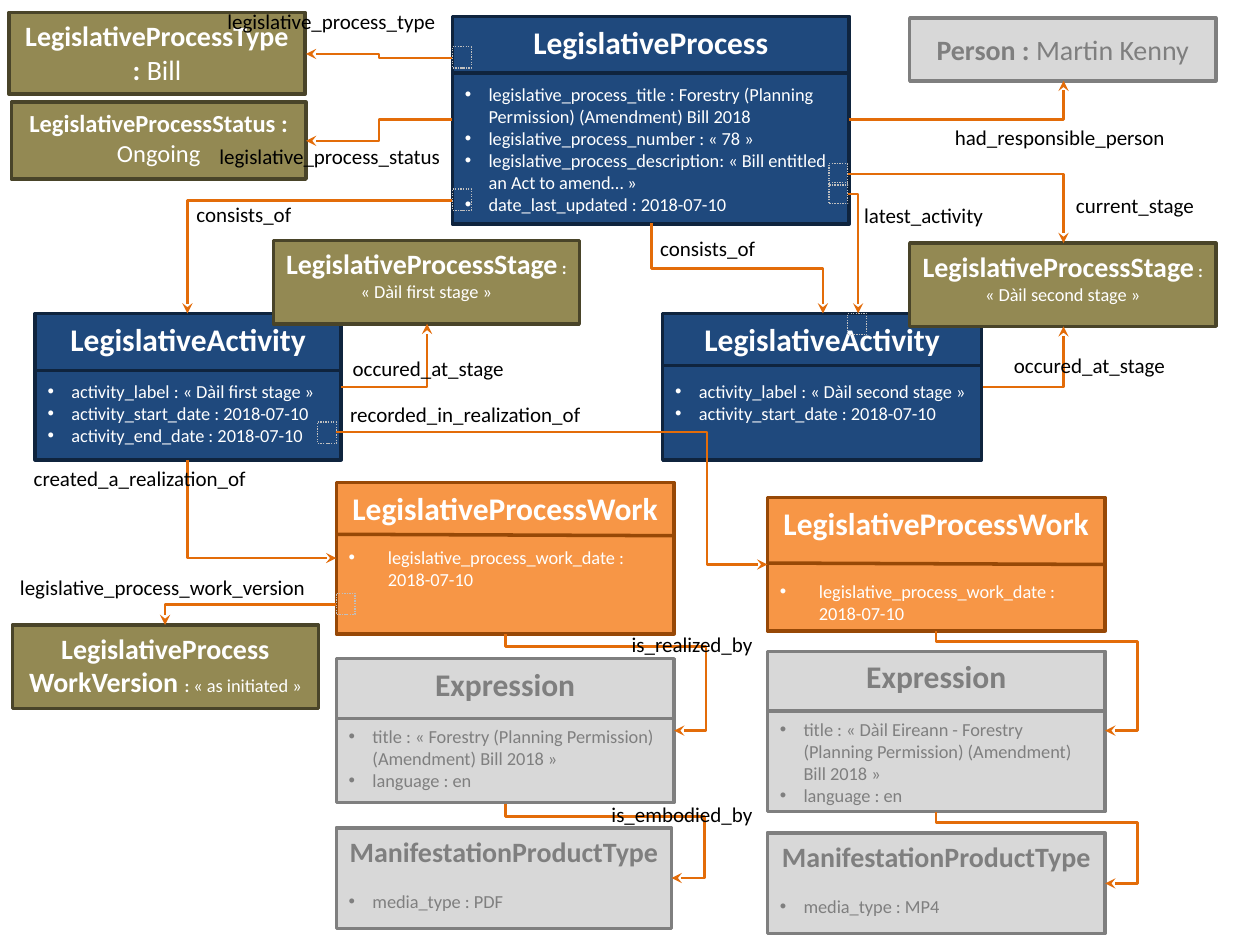
from dataclasses import dataclass

import pptx
import pptx.dml.color
import pptx.enum.dml
import pptx.enum.shapes
import pptx.enum.text
import pptx.oxml
import pptx.oxml.ns
import pptx.util
from lxml import etree

Cm = pptx.util.Cm
Pt = pptx.util.Pt
Align = pptx.enum.text.PP_ALIGN
Connector = pptx.enum.shapes.MSO_CONNECTOR
qn = pptx.oxml.ns.qn


@dataclass(frozen=True)
class Style:
    fill: str
    line: str
    text: str = "FFFFFF"


@dataclass(frozen=True)
class Theme:
    font: str = "Calibri"
    label: str = "000000"
    link: str = "E36C09"
    marker: str = "BFBFBF"
    title_size: float = 18
    note_size: float = 16
    status_size: float = 14
    label_size: float = 12
    body_size: float = 10.5
    colon_size: float = 10
    box_line: float = 2
    link_line: float = 1.5
    marker_line: float = 0.75
    process: Style = Style("1F497D", "0F243E")
    work: Style = Style("F79646", "974806")
    category: Style = Style("938953", "494429")
    neutral: Style = Style("D8D8D8", "7F7F7F", "7F7F7F")


THEME = Theme()


@dataclass(frozen=True)
class Run:
    text: str
    size: float = THEME.title_size
    bold: bool = True
    new_line: bool = False


@dataclass(frozen=True)
class Box:
    style: Style
    place: tuple  # left, top, width, height in cm
    heading: tuple
    items: tuple = ()
    gap: float = 12.8  # points between heading and items
    indent: float = 0.48
    divider: float | None = None
    tilt: float = 0
    middle: bool = False


@dataclass(frozen=True)
class Link:
    start: tuple
    end: tuple
    bends: tuple = ()  # positions of the inner segments, as shares of the span
    downward: bool = False  # leaves the start vertically


@dataclass(frozen=True)
class Label:
    text: str
    left: float
    top: float
    width: float
    align: Align = Align.LEFT


def rgb(value: str):
    return pptx.dml.color.RGBColor.from_string(value)


def write_text(frame, text: str, *, size: float, color: str, bold=False, align=Align.LEFT,
               new_line=True, bullet_indent=0.0, space_before=0.0) -> None:
    paragraph = frame.paragraphs[-1]
    if new_line and paragraph.runs:
        paragraph = frame.add_paragraph()
    paragraph.alignment = align
    if space_before:
        paragraph.space_before = Pt(space_before)
    if bullet_indent:
        properties = paragraph._p.get_or_add_pPr()
        properties.set("marL", str(Cm(bullet_indent)))
        properties.set("indent", str(-Cm(bullet_indent)))
        bullet_color = etree.SubElement(properties, qn("a:buClr"))
        etree.SubElement(bullet_color, qn("a:srgbClr"), val=color)
        etree.SubElement(properties, qn("a:buFont"), typeface="Arial")
        etree.SubElement(properties, qn("a:buChar"), char="•")
    run = paragraph.add_run()
    run.text = text
    run.font.name, run.font.size, run.font.bold = THEME.font, Pt(size), bold
    run.font.color.rgb = rgb(color)


def add_line(slide, kind: Connector, start: tuple, end: tuple, color: str, width: float):
    connector = slide.shapes.add_connector(kind, *(Cm(value) for value in (*start, *end)))
    connector.line.color.rgb = rgb(color)
    connector.line.width = Pt(width)
    etree.SubElement(connector._element.spPr, qn("a:effectLst"))
    return connector


def add_rectangle(slide, place: tuple, color: str, width: float):
    shape = slide.shapes.add_shape(pptx.enum.shapes.MSO_SHAPE.RECTANGLE, *map(Cm, place))
    shape.shadow.inherit = False
    shape.fill.background()
    shape.line.color.rgb = rgb(color)
    shape.line.width = Pt(width)
    return shape


def draw_box(slide, box: Box) -> None:
    shape = add_rectangle(slide, box.place, box.style.line, THEME.box_line)
    shape.fill.solid()
    shape.fill.fore_color.rgb = rgb(box.style.fill)
    frame = shape.text_frame
    frame.word_wrap = True
    anchors = pptx.enum.text.MSO_ANCHOR
    frame.vertical_anchor = anchors.MIDDLE if box.middle else anchors.TOP
    for run in box.heading:
        write_text(frame, run.text, size=run.size, bold=run.bold, color=box.style.text,
                   align=Align.CENTER, new_line=run.new_line)
    for index, item in enumerate(box.items):
        write_text(frame, item, size=THEME.body_size, color=box.style.text,
                   bullet_indent=box.indent, space_before=0 if index else box.gap)
    if box.divider:
        left, _, width, _ = box.place
        add_line(slide, Connector.STRAIGHT, (left, box.divider),
                 (left + width, box.divider + box.tilt), box.style.line, THEME.box_line)


def draw_marker(slide, left: float, top: float) -> None:
    shape = add_rectangle(slide, (left, top, 0.38, 0.43), THEME.marker, THEME.marker_line)
    shape.line.dash_style = pptx.enum.dml.MSO_LINE.ROUND_DOT


def draw_link(slide, link: Link) -> None:
    (x1, y1), (x2, y2) = link.start, link.end
    if link.downward:  # the frame before a quarter turn has its sides swapped
        x, y, half_width, half_height = (x1 + x2) / 2, (y1 + y2) / 2, (y2 - y1) / 2, (x2 - x1) / 2
        x1, y1, x2, y2 = x + half_width, y - half_height, x - half_width, y + half_height
    connector = add_line(slide, Connector.ELBOW, (x1, y1), (x2, y2), THEME.link, THEME.link_line)
    properties = connector._element.spPr
    if link.downward:
        properties.find(qn("a:xfrm")).set("rot", str(270 * 60000))
    geometry = properties.find(qn("a:prstGeom"))
    geometry.set("prst", f"bentConnector{len(link.bends) + 2}")
    for index, share in enumerate(link.bends, 1):
        etree.SubElement(geometry.find(qn("a:avLst")), qn("a:gd"), name=f"adj{index}",
                         fmla=f"val {round(share * 100000)}")
    etree.SubElement(properties.find(qn("a:ln")), qn("a:tailEnd"), type="stealth")


def draw_label(slide, label: Label) -> None:
    text_box = slide.shapes.add_textbox(Cm(label.left), Cm(label.top), Cm(label.width), Cm(0.77))
    text_box.text_frame.word_wrap = True
    write_text(text_box.text_frame, label.text, size=THEME.label_size, color=THEME.label,
               align=label.align)


def stage(place: tuple, name: str) -> Box:
    return Box(THEME.category, place, (
        Run("LegislativeProcessStage", THEME.note_size), Run(" : ", THEME.colon_size),
        Run(f"« {name} »", THEME.body_size, False)))


ACTIVITY = (Run("LegislativeActivity"),)
WORK = (Run("LegislativeProcessWork"),)
EXPRESSION = (Run("Expression"),)
MANIFESTATION = (Run("ManifestationProductType", THEME.note_size),)
WORK_DATE = ("legislative_process_work_date : 2018-07-10",)
START_DATE = "activity_start_date : 2018-07-10"

BOXES = (
    Box(THEME.process, (9.12, 0.33, 8, 4.19), (Run("LegislativeProcess"),), (
        "legislative_process_title : Forestry (Planning Permission) (Amendment) Bill 2018",
        "legislative_process_number : « 78 »",
        "legislative_process_description: « Bill entitled an Act to amend… »",
        "date_last_updated : 2018-07-10"), divider=1.47),
    Box(THEME.process, (0.71, 6.32, 6.17, 2.95), ACTIVITY, (
        "activity_label : « Dàil first stage »", START_DATE,
        "activity_end_date : 2018-07-10"), divider=7.47),
    Box(THEME.process, (13.36, 6.32, 6.43, 2.95), ACTIVITY, (
        "activity_label : « Dàil second stage »", START_DATE), divider=7.37),
    stage((5.51, 4.85, 6.17, 1.68), "Dàil first stage"),
    stage((18.34, 4.9, 6.17, 1.68), "Dàil second stage"),
    Box(THEME.work, (6.78, 9.73, 6.81, 3.05), WORK, WORK_DATE, 11, 0.79, 10.77, 0.03),
    Box(THEME.work, (15.47, 10.03, 6.81, 2.69), WORK, WORK_DATE, 22, 0.79, 11.35, 0.03),
    Box(THEME.neutral, (6.78, 13.28, 6.81, 2.9), EXPRESSION, (
        "title : « Forestry (Planning Permission) (Amendment) Bill 2018 »",
        "language : en"), divider=14.48),
    Box(THEME.neutral, (15.47, 13.13, 6.81, 3.23), EXPRESSION, (
        "title : « Dàil Eireann - Forestry (Planning Permission) (Amendment) Bill 2018 »",
        "language : en"), divider=14.33),
    Box(THEME.neutral, (6.78, 16.69, 6.76, 2.03), MANIFESTATION, ("media_type : PDF",)),
    Box(THEME.neutral, (15.47, 16.79, 6.81, 2.03), MANIFESTATION, ("media_type : MP4",)),
    Box(THEME.neutral, (18.34, 0.36, 6.17, 1.27), (
        Run("Person : ", THEME.note_size), Run("Martin Kenny", THEME.note_size, False)),
        middle=True),
    Box(THEME.category, (0.18, 0.25, 5.97, 1.65), (
        Run("LegislativeProcessType : ", THEME.note_size), Run("Bill", THEME.note_size, False))),
    Box(THEME.category, (0.23, 2.06, 5.94, 1.55), (
        Run("LegislativeProcessStatus : ", THEME.status_size),
        Run("Ongoing", THEME.status_size, False))),
    Box(THEME.category, (0.25, 12.6, 6.17, 1.68), (
        Run("LegislativeProcess", THEME.note_size),
        Run("WorkVersion ", THEME.note_size, new_line=True), Run(": ", THEME.colon_size),
        Run("« as initiated »", THEME.body_size, False))),
)
MARKERS = ((6.4, 8.51), (17.09, 6.32), (16.71, 3.68), (16.71, 3.3),
           (9.12, 0.94), (9.12, 3.81), (6.78, 11.96))
LINKS = (
    Link((9.12, 1.17), (6.17, 1.09), (0.5,)),
    Link((9.12, 2.41), (6.17, 2.84), (0.5,)),
    Link((9.12, 4.04), (3.78, 6.32)),
    Link((17.12, 2.41), (21.44, 1.63)),
    Link((17.09, 3.51), (21.44, 4.9)),
    Link((17.09, 3.91), (17.3, 6.32)),
    Link((13.13, 4.5), (16.59, 6.32), (0.5,), True),
    Link((6.88, 7.8), (8.61, 6.53)),
    Link((19.81, 7.8), (21.44, 6.58)),
    Link((6.78, 8.71), (15.47, 11.38), (0.86,)),
    Link((3.78, 9.27), (6.78, 11.25), (), True),
    Link((6.78, 12.19), (3.33, 12.6)),
    Link((10.19, 12.78), (13.59, 14.73), (0.13, 1.19), True),
    Link((10.19, 16.2), (13.54, 17.7), (0.17, 1.2), True),
    Link((18.87, 12.73), (22.28, 14.73), (0.1, 1.19), True),
    Link((18.87, 16.36), (22.28, 17.81), (0.15, 1.19), True),
)
LABELS = (
    Label("legislative_process_type", 4.09, 0.05, 5.18, Align.CENTER),
    Label("legislative_process_status", 4.06, 2.77, 5.18, Align.CENTER),
    Label("had_responsible_person", 19, 2.39, 5.99),
    Label("current_stage", 21.44, 3.76, 3.05),
    Label("latest_activity", 17.17, 3.96, 3.05),
    Label("consists_of", 3.71, 3.94, 5.66),
    Label("consists_of", 13.06, 4.62, 5.66),
    Label("occured_at_stage", 6.86, 7.04, 6.5),
    Label("occured_at_stage", 20.19, 6.99, 5),
    Label("recorded_in_realization_of", 6.81, 7.98, 6.5),
    Label("created_a_realization_of", 0.43, 9.27, 6.5),
    Label("legislative_process_work_version", 0.13, 11.46, 6.27, Align.RIGHT),
    Label("is_realized_by", 12.12, 12.6, 3.3, Align.RIGHT),
    Label("is_embodied_by", 11.71, 16.03, 3.71, Align.RIGHT),
)


def main() -> None:
    presentation = pptx.Presentation()
    presentation.slide_width, presentation.slide_height = Cm(25.4), Cm(19.05)
    slide = presentation.slides.add_slide(presentation.slide_layouts[6])
    # Boxes lie below, then their anchors, the links and the link names
    for box in BOXES:
        draw_box(slide, box)
    for left, top in MARKERS:
        draw_marker(slide, left, top)
    for link in LINKS:
        draw_link(slide, link)
    for label in LABELS:
        draw_label(slide, label)
    presentation.save("out.pptx")


if __name__ == "__main__":
    main()
